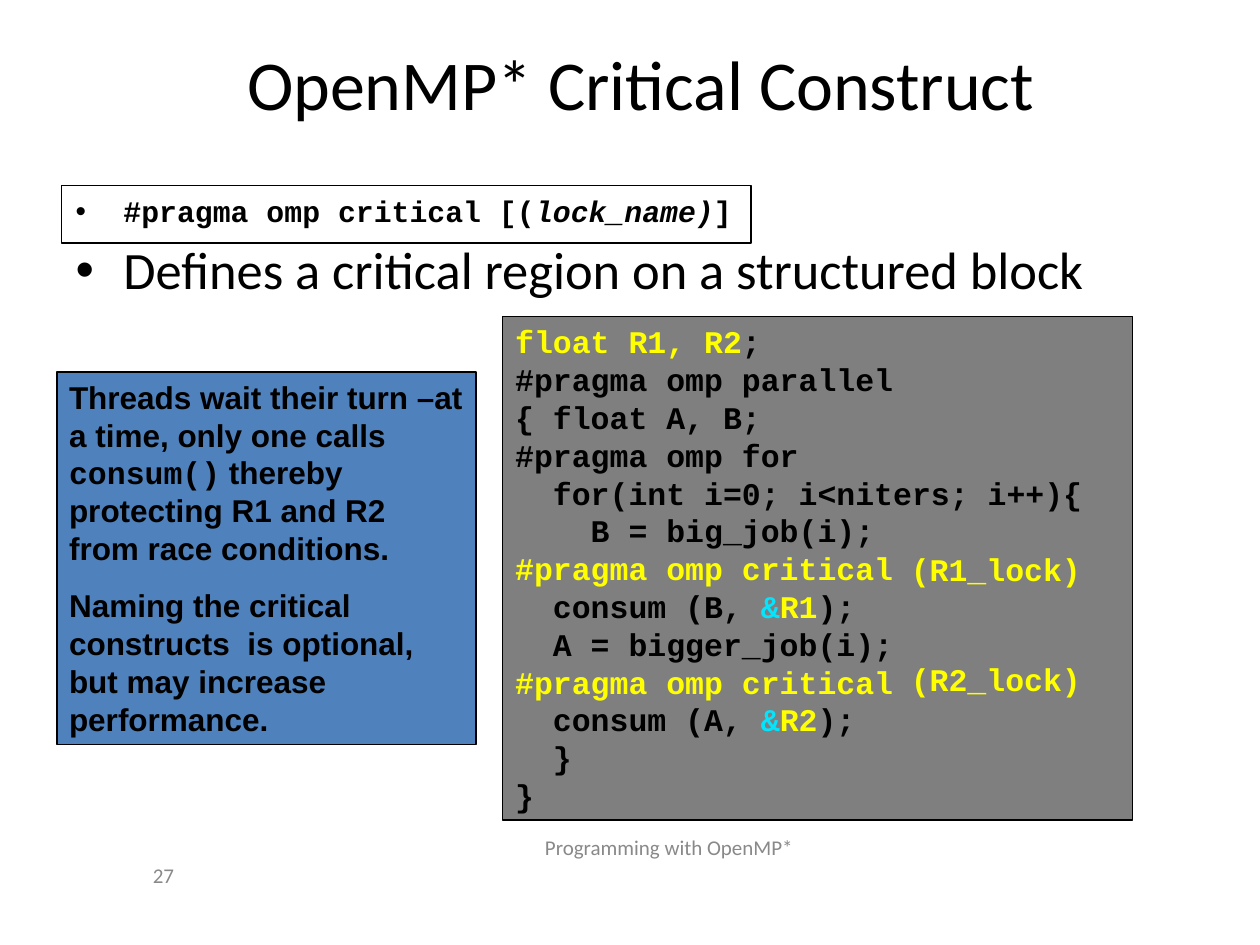
from lxml import etree
from pptx import Presentation
from pptx.dml.color import RGBColor
from pptx.enum import shapes, text
from pptx.oxml.ns import qn
from pptx.util import Inches, Pt

BLACK, WHITE, GREY, BLUE = "000000", "FFFFFF", "7F7F7F", "4F81BD"
YELLOW, CYAN, FOOTER_GREY = "FFFF00", "04E4FC", "898989"
MONO, SANS, BODY = "Courier New", "Arial", "Calibri"

TITLE = "OpenMP* Critical Construct"
SYNTAX = [("#pragma omp critical [(", {}), ("lock_name)", {"italic": True}), ("]", {})]
DEFINITION = "Defines a critical region on a structured block"


def critical_call(source, target):
    """Return the runs of one critical section of the code."""
    return [("#pragma omp critical \n  ", {"color": YELLOW}), (f"consum ({source},", {}),
            (" &", {"color": CYAN}), (target, {"color": YELLOW}), (");", {})]


CODE = [
    [("float R1, R2", {"color": YELLOW}), (";", {})],
    "#pragma omp parallel",
    "{ float A, B; ",
    "#pragma omp for\n  for(int i=0; i<niters; i++){",
    "    B = big_job(i);",
    critical_call("B", "R1"),
    "  A = bigger_job(i);",
    critical_call("A", "R2"),
    "  }\n}",
]
NOTES = [
    [("Threads wait their turn \u2013at a time, only one calls ", {}),
     ("consum()", {"font": MONO}),
     (" thereby protecting R1 and R2 from race conditions.", {})],
    "Naming the critical constructs  is optional, but may increase performance.",
]
LOCKS = ["(R1_lock)", "(R2_lock)"]
LOCK_GAP = 40.8  # two code lines
FOOTERS = [("27", (1.03, 6.78, 0.45, 0.33), text.PP_ALIGN.RIGHT),
           ("Programming with OpenMP*", (3.31, 6.56, 4, 0.33), text.PP_ALIGN.CENTER)]


def rgb(value):
    """Turn a hex string into a colour."""
    return RGBColor.from_string(value)


def place(shape, box):
    """Move and size a shape, in inches."""
    shape.left, shape.top, shape.width, shape.height = map(Inches, box)


def write(paragraph, content, font=BODY, size=18, color=BLACK, bold=False,
          align=None, before=None, spacing=None):
    """Fill a paragraph from a string or a list of (text, overrides) runs."""
    paragraph.alignment = align
    if before is not None:
        paragraph.space_before = Pt(before)
    if spacing:
        paragraph.line_spacing = spacing
    for words, special in ([(content, {})] if isinstance(content, str) else content):
        for i, part in enumerate(words.split("\n")):
            if i:
                paragraph.add_line_break()
            run = paragraph.add_run()
            run.text = part
            run.font.name = special.get("font", font)
            run.font.size = Pt(size)
            run.font.bold = bold
            run.font.italic = special.get("italic", False)
            run.font.color.rgb = rgb(special.get("color", color))


def write_all(frame, contents, gap=None, **style):
    """Write one paragraph per item, with a gap before all but the first."""
    for i, content in enumerate(contents):
        paragraph = frame.add_paragraph() if i else frame.paragraphs[0]
        write(paragraph, content, before=gap if i else None, **style)


def panel(slide, box, fill, line_width):
    """Add an outlined rectangle and return it."""
    shape = slide.shapes.add_shape(shapes.MSO_SHAPE.RECTANGLE, *map(Inches, box))
    shape.shadow.inherit = False
    shape.fill.solid()
    shape.fill.fore_color.rgb = rgb(fill)
    shape.line.color.rgb = rgb(BLACK)
    shape.line.width = Pt(line_width)
    shape.text_frame.word_wrap = True
    shape.text_frame.vertical_anchor = text.MSO_ANCHOR.TOP
    return shape


def bullet(paragraph):
    """Give a paragraph a hanging round bullet."""
    props = paragraph._p.get_or_add_pPr()
    props.set("marL", str(Inches(0.38)))
    props.set("indent", str(-Inches(0.38)))
    etree.SubElement(props, qn("a:buFont")).set("typeface", SANS)
    etree.SubElement(props, qn("a:buChar")).set("char", "\u2022")


deck = Presentation()
deck.slide_width, deck.slide_height = Inches(10), Inches(7.5)
slide = deck.slides.add_slide(deck.slide_layouts[1])
title, body = slide.placeholders

place(title, (0.58, 0.44, 9.01, 0.43))
title.text_frame.auto_size = text.MSO_AUTO_SIZE.NONE
title.text_frame.vertical_anchor = text.MSO_ANCHOR.MIDDLE
write(title.text_frame.paragraphs[0], TITLE, size=40, align=text.PP_ALIGN.CENTER)

place(body, (0.5, 1.5, 8.44, 0.96))
body.text_frame.auto_size = text.MSO_AUTO_SIZE.NONE
write(body.text_frame.paragraphs[0], SYNTAX, font=MONO, size=17, bold=True,
      before=4.2, spacing=0.94)
write(body.text_frame.add_paragraph(), DEFINITION, size=30, before=7.5, spacing=0.94)
for item in body.text_frame.paragraphs:
    bullet(item)

syntax_box = panel(slide, (0.49, 1.47, 5.47, 0.46), WHITE, 0.74)
slide.shapes._spTree.insert(2, syntax_box._element)  # behind the body text

code_box = panel(slide, (3.99, 2.51, 5, 4), GREY, 0.74)
write_all(code_box.text_frame, CODE, font=MONO, bold=True, align=text.PP_ALIGN.LEFT)

notes_box = panel(slide, (0.45, 2.95, 3.33, 2.96), BLUE, 0.99)
write_all(notes_box.text_frame, NOTES, gap=11.2, font=SANS, bold=True,
          align=text.PP_ALIGN.LEFT)

locks = slide.shapes.add_textbox(*map(Inches, (7.13, 4.32, 1.55, 1.3)))
locks.text_frame.word_wrap = False
write_all(locks.text_frame, LOCKS, gap=LOCK_GAP, font=MONO, bold=True, color=YELLOW,
          align=text.PP_ALIGN.LEFT)

for words, box, align in FOOTERS:
    footer = slide.shapes.add_textbox(*map(Inches, box))
    footer.text_frame.word_wrap = True
    footer.text_frame.vertical_anchor = text.MSO_ANCHOR.MIDDLE
    write(footer.text_frame.paragraphs[0], words, size=12, color=FOOTER_GREY, align=align)

deck.save("out.pptx")
